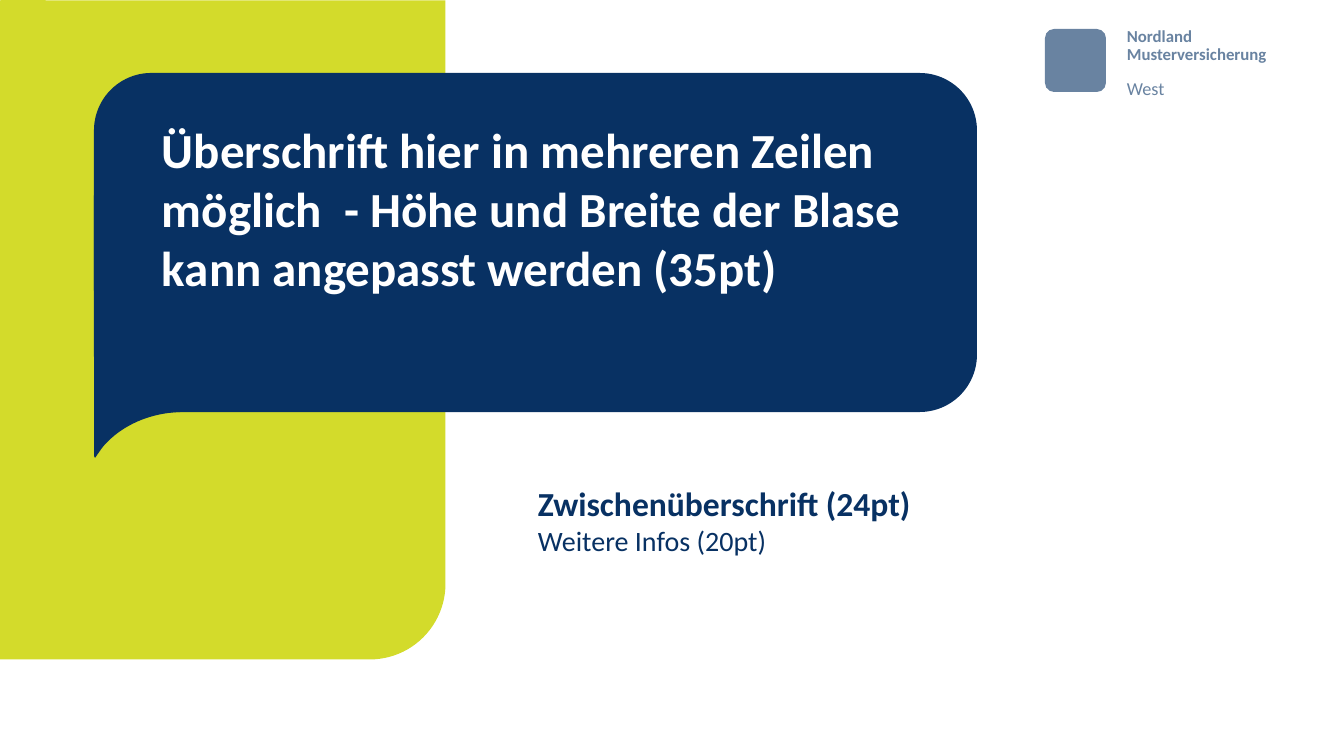
from dataclasses import dataclass

from pptx import Presentation
from pptx import util as u
from pptx.dml.color import RGBColor
from pptx.enum import shapes

PX = 914400 / 100.8


@dataclass(frozen=True)
class Theme:
    font: str = "Calibri"
    lime: str = "D3DB2B"
    navy: str = "083163"
    slate: str = "6983A1"
    white: str = "FFFFFF"
    title: int = 35
    subtitle: int = 24
    info: int = 20
    sender: int = 12
    branch: int = 13


theme = Theme()


def paint(shape, color):
    shape.shadow.inherit = False
    shape.fill.solid()
    shape.fill.fore_color.rgb = RGBColor.from_string(color)
    shape.line.fill.background()


def px(*lengths):
    return [u.Emu(round(length * PX)) for length in lengths]


prs = Presentation()
prs.slide_width, prs.slide_height = px(1344, 756)
slide = prs.slides.add_slide(prs.slide_layouts[6])

kinds = shapes.MSO_SHAPE
for kind, box, corner, turn, color in [
    (kinds.ROUNDED_RECTANGLE, (1045, 29, 61, 63), 0.15, 0, theme.slate),
    (kinds.ROUND_1_RECTANGLE, (-43, 43, 132, 45), 0.5, 90, theme.lime),
    (kinds.ROUND_1_RECTANGLE, (-107, 107, 659, 446), 0.17, 90, theme.lime),
    (kinds.ROUNDED_RECTANGLE, (94, 73, 883, 273), 0.21, 0, theme.navy),
    (kinds.ROUNDED_RECTANGLE, (94, 139, 883, 273), 0.21, 0, theme.navy),
]:
    panel = slide.shapes.add_shape(kind, *px(*box))
    panel.adjustments[0] = corner
    panel.rotation = turn
    paint(panel, color)

steps = 24
bubble_edge = []
for curve in [
    [(814, 239), (850, 239), (879, 262), (879, 291)],
    [(185, 412), (150, 412), (120, 426), (102, 448)],
    [(95, 458), (95, 458), (94, 456), (94, 456)],
    [(94, 291), (94, 262), (123, 239), (158, 239)],
]:
    if curve[0] == (185, 412):
        bubble_edge.append(px(879, 412))
    for step in range(steps + 1):
        t = step / steps
        weights = ((1 - t) ** 3, 3 * t * (1 - t) ** 2, 3 * t * t * (1 - t), t ** 3)
        bubble_edge.append(px(*(sum(w * c for w, c in zip(weights, axis)) for axis in zip(*curve))))
outline = slide.shapes.build_freeform(*px(158, 239))
outline.add_line_segments(bubble_edge, close=True)
paint(outline.convert_to_shape(), theme.navy)

for box, wrap, spacing, color, lines in [
    ((1117, 23, 177, 47), False, 13, theme.slate,
     [("Nordland", theme.sender, True), ("Musterversicherung", theme.sender, True)]),
    ((1117, 65, 64, 36), False, 21, theme.slate, [("West", theme.branch, False)]),
    ((152, 115, 785, 202), True, None, theme.white,
     [("Überschrift hier in mehreren Zeilen möglich  - Höhe und Breite der Blase "
       "kann angepasst werden (35pt)", theme.title, True)]),
    ((528, 478, 718, 85), True, None, theme.navy,
     [("Zwischenüberschrift (24pt)", theme.subtitle, True),
      ("Weitere Infos (20pt)", theme.info, False)]),
]:
    frame = slide.shapes.add_textbox(*px(*box)).text_frame
    frame.word_wrap = wrap
    frame.text = "\n".join(line for line, _, _ in lines)
    for paragraph, (_, size, bold) in zip(frame.paragraphs, lines):
        if spacing:
            paragraph.line_spacing = u.Pt(spacing)
        paragraph.font.name = theme.font
        paragraph.font.size = u.Pt(size)
        paragraph.font.bold = bold
        paragraph.font.color.rgb = RGBColor.from_string(color)

prs.save("out.pptx")
